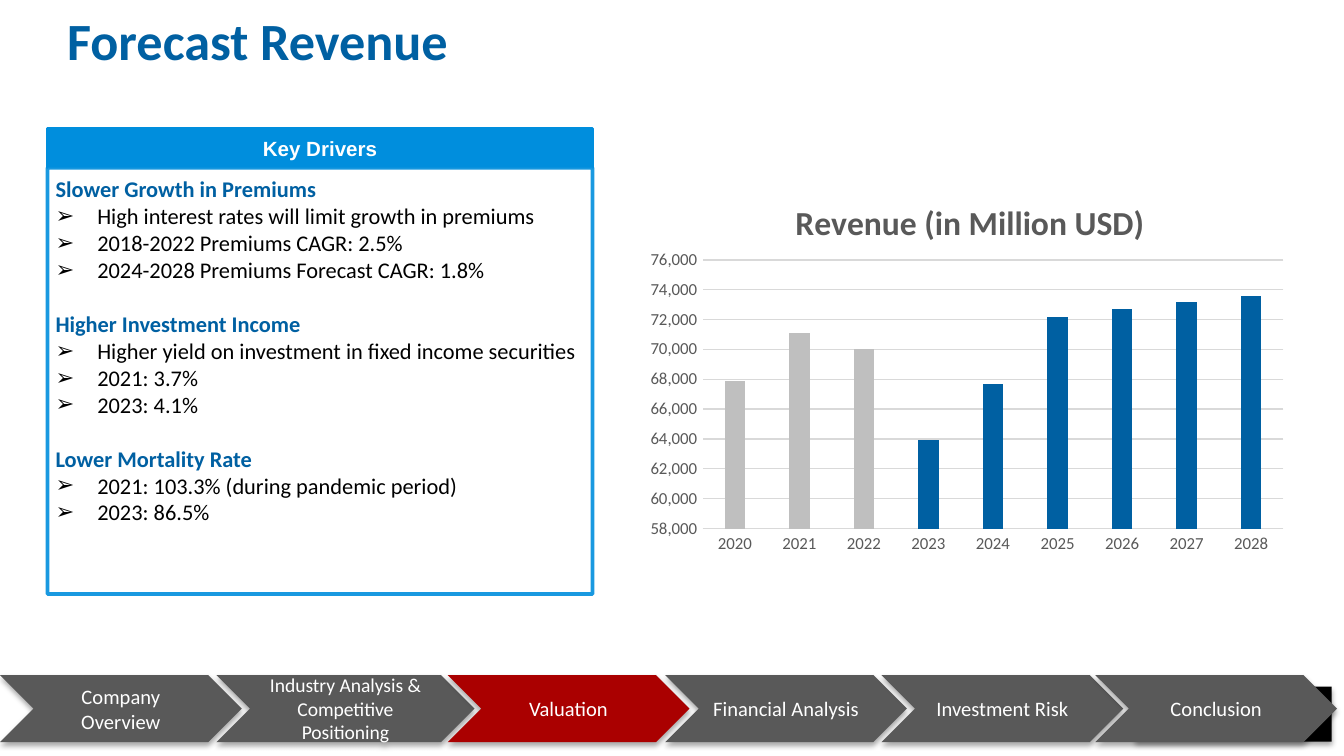
from lxml import etree
from pptx import Presentation
from pptx.chart.data import CategoryChartData
from pptx.dml.color import RGBColor
from pptx.enum.chart import XL_CHART_TYPE, XL_TICK_MARK
from pptx.enum.shapes import MSO_SHAPE
from pptx.enum.text import MSO_ANCHOR, PP_ALIGN
from pptx.oxml import parse_xml
from pptx.oxml.ns import nsdecls, qn
from pptx.util import Cm, Pt

COLUMNS = XL_CHART_TYPE.COLUMN_CLUSTERED
NO_TICK = XL_TICK_MARK.NONE
CHEVRON, RECTANGLE = MSO_SHAPE.CHEVRON, MSO_SHAPE.RECTANGLE
TOP, MIDDLE = MSO_ANCHOR.TOP, MSO_ANCHOR.MIDDLE
LEFT, CENTER = PP_ALIGN.LEFT, PP_ALIGN.CENTER

COLORS = {
    "white": "FFFFFF", "black": "000000", "blue": "0060A2", "panel": "008EDD",
    "gray": "595959", "active": "AA0000", "past": "BFBFBF", "grid": "D9D9D9",
}
TITLE = "Forecast Revenue"
PANEL_TITLE = "Key Drivers"
DRIVERS = [
    ("Slower Growth in Premiums", [
        "High interest rates will limit growth in premiums",
        "2018-2022 Premiums CAGR: 2.5%",
        "2024-2028 Premiums Forecast CAGR: 1.8%"]),
    ("Higher Investment Income", [
        "Higher yield on investment in fixed income securities",
        "2021: 3.7%",
        "2023: 4.1%"]),
    ("Lower Mortality Rate", [
        "2021: 103.3% (during pandemic period)",
        "2023: 86.5%"]),
]
CHART_TITLE = "Revenue (in Million USD)"
REVENUE = {
    "2020": 67900, "2021": 71100, "2022": 70000, "2023": 63900, "2024": 67700,
    "2025": 72200, "2026": 72700, "2027": 73200, "2028": 73600,
}
PAST_YEARS = 3
# label, left, width, text size
STEPS = [
    ("Company Overview", 0, 4.57, 11),
    ("Industry Analysis & Competitive Positioning", 4.09, 4.88, 10.5),
    ("Valuation", 8.46, 4.57, 11),
    ("Financial Analysis", 12.57, 4.57, 11),
    ("Investment Risk", 16.66, 4.57, 11),
    ("Conclusion", 20.7, 4.57, 11),
]
ACTIVE_STEP = "Valuation"
STEP_TOP, STEP_HEIGHT = 12.76, 1.27
PANEL_LEFT, PANEL_WIDTH = 0.9, 10.3


def rgb(name):
    return RGBColor.from_string(COLORS[name])


def style_font(font, size, color, bold=False, name="Calibri"):
    font.size, font.bold, font.name = Pt(size), bold, name
    font.color.rgb = rgb(color)


def add_text(paragraph, text, size=12, color="black", bold=False, name="Calibri",
             align=LEFT, before=0):
    paragraph.alignment = align
    if before:
        paragraph.space_before = Pt(before)
    run = paragraph.add_run()
    run.text = text
    style_font(run.font, size, color, bold, name)


def set_frame(frame, anchor, margins=(0.25, 0.13, 0.25, 0.13)):
    frame.word_wrap = True
    frame.vertical_anchor = anchor
    (frame.margin_left, frame.margin_top,
     frame.margin_right, frame.margin_bottom) = map(Cm, margins)


def add_bullet(paragraph):
    properties = paragraph._p.get_or_add_pPr()
    properties.set("marL", str(Cm(0.79)))
    properties.set("indent", str(Cm(-0.79)))
    etree.SubElement(properties, qn("a:buFont")).set("typeface", "Arial")
    etree.SubElement(properties, qn("a:buChar")).set("char", "➢")


def add_step_shape(slide, kind, left, top, width, height, color):
    """Add a borderless shape of the navigation bar with its soft shadow."""
    shape = slide.shapes.add_shape(kind, Cm(left), Cm(top), Cm(width), Cm(height))
    shape.fill.solid()
    shape.fill.fore_color.rgb = rgb(color)
    shape.line.fill.background()
    shape._element.spPr.append(parse_xml(
        f'<a:effectLst {nsdecls("a")}><a:outerShdw blurRad="{Pt(3.1)}" dist="{Pt(1.8)}" '
        f'dir="5400000" rotWithShape="0"><a:srgbClr val="{COLORS["black"]}">'
        '<a:alpha val="35000"/></a:srgbClr></a:outerShdw></a:effectLst>'))
    return shape


def add_navigation(slide):
    for label, left, width, size in STEPS:
        if label == STEPS[-1][0]:
            add_step_shape(slide, RECTANGLE, 21.46, 12.98, 3.71, 1.04, "black")
        color = "active" if label == ACTIVE_STEP else "gray"
        step = add_step_shape(slide, CHEVRON, left, STEP_TOP, width, STEP_HEIGHT, color)
        set_frame(step.text_frame, MIDDLE)
        add_text(step.text_frame.paragraphs[0], label, size, "white", align=CENTER)


def add_panel_box(slide, top, height, fill, opacity=100):
    box = slide.shapes.add_shape(RECTANGLE, Cm(PANEL_LEFT), Cm(top),
                                 Cm(PANEL_WIDTH), Cm(height))
    box.shadow.inherit = False
    box.fill.solid()
    box.fill.fore_color.rgb = rgb(fill)
    box.line.color.rgb = rgb("panel")
    box.line.width = Pt(2)
    if opacity < 100:
        for color in box._element.spPr.iter(qn("a:srgbClr")):
            etree.SubElement(color, qn("a:alpha")).set("val", str(opacity * 1000))
    return box


def add_drivers(slide):
    header = add_panel_box(slide, 2.43, 0.73, "panel")
    set_frame(header.text_frame, MIDDLE)
    add_text(header.text_frame.paragraphs[0], PANEL_TITLE, 11, "white", True, "Arial", CENTER)

    frame = add_panel_box(slide, 3.17, 8.06, "white", 90).text_frame
    set_frame(frame, TOP, (0.15, 0.15, 0.23, 0.25))
    for index, (heading, points) in enumerate(DRIVERS):
        paragraph = frame.add_paragraph() if index else frame.paragraphs[0]
        add_text(paragraph, heading, color="blue", bold=True, before=14.5 if index else 0)
        for point in points:
            paragraph = frame.add_paragraph()
            add_bullet(paragraph)
            add_text(paragraph, point)


def place(element, **fractions):
    """Fix a chart part at fractions of the chart size."""
    layout = element.find(qn("c:layout"))
    if layout is None:
        layout = parse_xml(f'<c:layout {nsdecls("c")}/>')
        if element.tag == qn("c:title"):
            element.find(qn("c:tx")).addnext(layout)
        else:
            element.insert(0, layout)
    manual = etree.SubElement(layout, qn("c:manualLayout"))
    if "w" in fractions:
        etree.SubElement(manual, qn("c:layoutTarget")).set("val", "inner")
    for side in "xy":
        etree.SubElement(manual, qn(f"c:{side}Mode")).set("val", "edge")
    for key, value in fractions.items():
        etree.SubElement(manual, qn(f"c:{key}")).set("val", str(value))


def add_revenue_chart(slide):
    data = CategoryChartData(number_format="#,##0")
    data.categories = list(REVENUE)
    data.add_series("Revenue", list(REVENUE.values()))
    chart = slide.shapes.add_chart(COLUMNS, Cm(11.89), Cm(3.12), Cm(12.62), Cm(7.47), data).chart
    chart.has_legend = False
    style_font(chart.font, 10, "black")
    chart.has_title = True
    add_text(chart.chart_title.text_frame.paragraphs[0], CHART_TITLE, 18, "gray", True,
             align=CENTER)
    chart.chart_title.include_in_layout = False
    place(chart.chart_title._element, x=0.24, y=0.07)
    place(chart._chartSpace.chart.plotArea, x=0.11, y=0.24, w=0.87, h=0.68)

    years, values = chart.category_axis, chart.value_axis
    for axis in (years, values):
        axis.major_tick_mark = axis.minor_tick_mark = NO_TICK
        style_font(axis.tick_labels.font, 9, "gray")
    values.minimum_scale, values.maximum_scale, values.major_unit = 58000, 76000, 2000
    values.tick_labels.number_format = "#,##0"
    values.tick_labels.number_format_is_linked = False
    values.format.line.fill.background()
    for line in (years.format.line, values.major_gridlines.format.line):
        line.color.rgb = rgb("grid")
        line.width = Pt(0.75)

    plot = chart.plots[0]
    plot.vary_by_categories = False
    plot.gap_width, plot.overlap = 219, -27
    for index in range(len(REVENUE)):
        fill = plot.series[0].points[index].format.fill
        fill.solid()
        fill.fore_color.rgb = rgb("past" if index < PAST_YEARS else "blue")


def main():
    presentation = Presentation()
    presentation.slide_width, presentation.slide_height = Cm(25.4), Cm(14.29)
    slide = presentation.slides.add_slide(presentation.slide_layouts[6])
    add_navigation(slide)
    title = slide.shapes.add_textbox(Cm(1.02), Cm(0), Cm(22.86), Cm(1.5)).text_frame
    set_frame(title, MIDDLE)
    add_text(title.paragraphs[0], TITLE, 28, "blue", True)
    title.paragraphs[0].space_after = Pt(6)
    add_drivers(slide)
    add_revenue_chart(slide)
    presentation.save("out.pptx")


if __name__ == "__main__":
    main()
